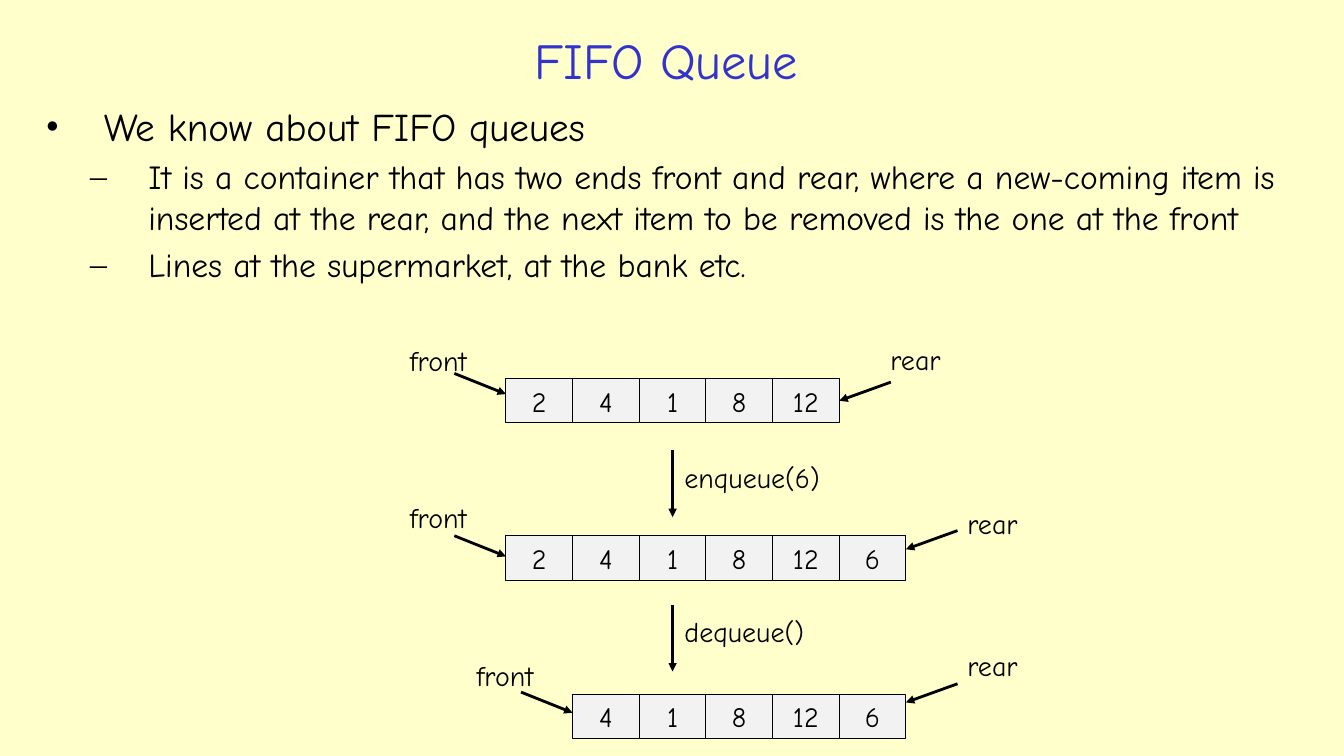
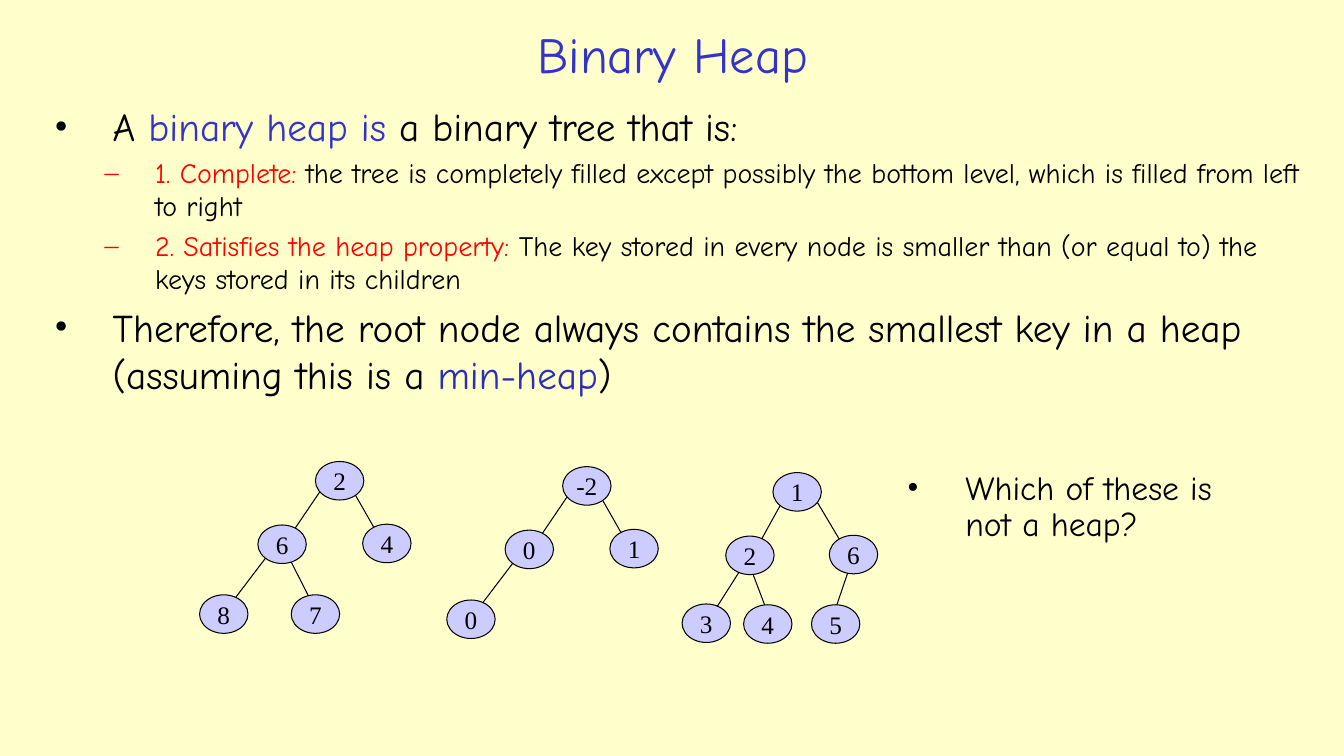
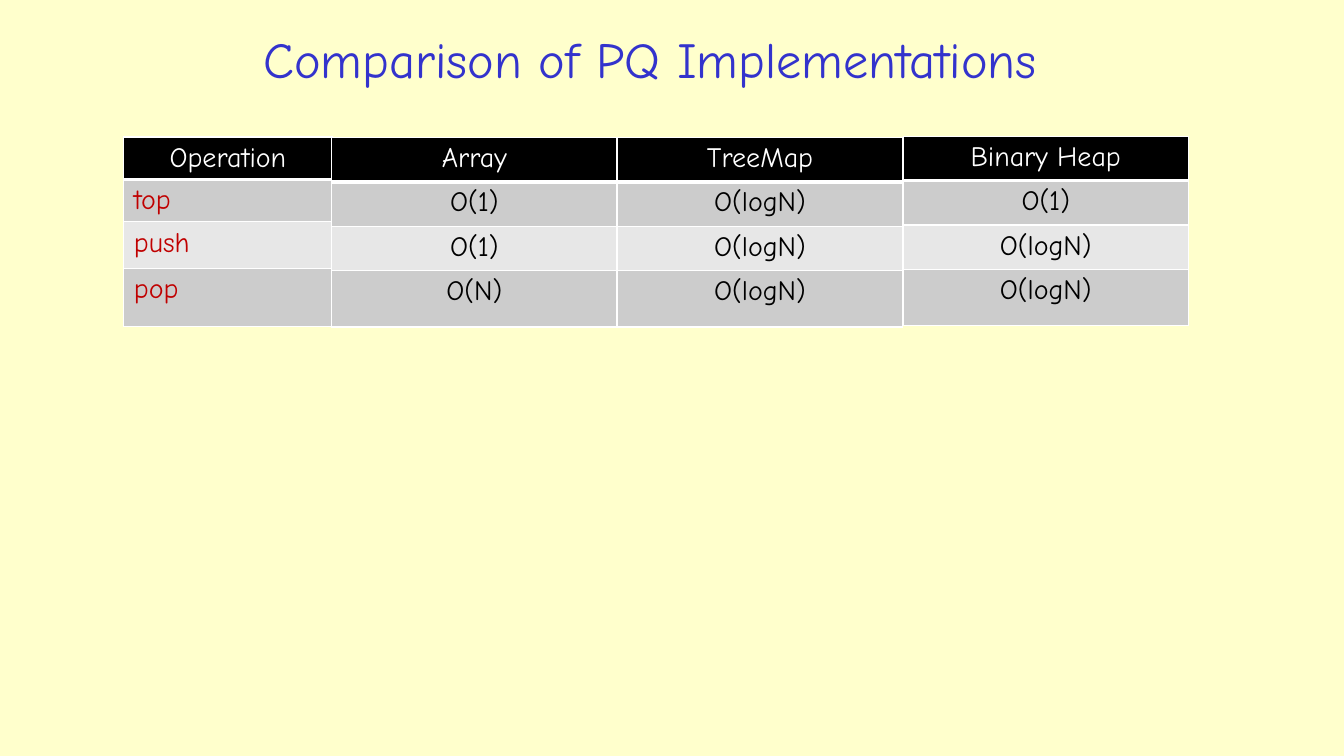
from math import sqrt

from lxml.etree import SubElement
from pptx import Presentation
from pptx.dml.color import RGBColor
from pptx.enum.shapes import MSO_CONNECTOR as Connector, MSO_SHAPE as Shape
from pptx.enum.text import MSO_ANCHOR as Anchor, PP_ALIGN as Align
from pptx.oxml import parse_xml
from pptx.oxml.ns import nsdecls, qn
from pptx.util import Cm, Pt

COLORS = {
    "paper": "FFFFCC", "ink": "000000", "title": "3333CC", "accent": "2D2DB9",
    "red": "FF0000", "dark_red": "C00000", "cell": "F2F2F2", "node": "CCCCFF",
    "white": "FFFFFF", "band_dark": "CCCCCC", "band_light": "E7E7E7",
}
FONT, NODE_FONT = "Comic Neue", "Times New Roman"

# All lengths are centimetres.
CELL_W, CELL_H = 1.68, 1.12
QUEUE_LEFT = 12.75
NODE_W, NODE_H = 1.22, 0.97

# Each node: offset from the root, parent index, and the horizontal distances
# from the centres of parent and child where the edge leaves and arrives.
LEFT_TREE = [
    (0, 0, None, 0, 0),
    (-1.45, 1.6, 0, -0.5, 0.33),
    (1.19, 1.58, 0, 0.4, -0.33),
    (-2.92, 3.36, 1, -0.42, 0.3),
    (-0.61, 3.36, 1, 0.23, -0.18),
]
FULL_TREE = [
    (0, 0, None, 0, 0),
    (-1.19, 1.6, 0, -0.43, 0.3),
    (1.42, 1.58, 0, 0.51, -0.36),
    (-2.29, 3.31, 1, -0.28, 0.28),
    (-0.74, 3.33, 1, 0.08, -0.08),
    (0.97, 3.33, 2, -0.15, 0.03),
]


def color(name):
    return RGBColor.from_string(COLORS[name])


def outline_height(dx):
    """Vertical distance from a node's centre to its outline at offset dx."""
    return NODE_H / 2 * sqrt(1 - (2 * dx / NODE_W) ** 2)


class Deck:
    def __init__(self):
        self.file = Presentation()
        self.file.slide_width, self.file.slide_height = Cm(33.87), Cm(19.05)
        fill = self.file.slide_master.background.fill
        fill.solid()
        fill.fore_color.rgb = color("paper")
        self.page = None

    def add_page(self, title, *place):
        self.page = self.file.slides.add_slide(self.file.slide_layouts[5])
        box = self.page.shapes.title
        box.left, box.top, box.width, box.height = map(Cm, place)
        box.text_frame.vertical_anchor = Anchor.MIDDLE
        para = box.text_frame.paragraphs[0]
        para.alignment = Align.CENTER
        self.add_span(para, title, 36, "title")

    def add_span(self, para, text, size, ink="ink", font=FONT):
        span = para.add_run()
        span.text = text
        span.font.size, span.font.name = Pt(size), font
        span.font.bold = False
        span.font.color.rgb = color(ink)

    def add_box(self, *place):
        box = self.page.shapes.add_textbox(*map(Cm, place))
        box.text_frame.word_wrap = True
        return box

    def label(self, text, left, top, width=2.34):
        box = self.add_box(left, top, width, CELL_H)
        self.add_span(box.text_frame.paragraphs[0], text, 20)

    def bullets(self, place, items, spacing=None):
        """Each item: bullet sign, left margin, hang, size, (text, colour) spans."""
        frame = self.add_box(*place).text_frame
        for index, (sign, margin, hang, size, spans) in enumerate(items):
            para = frame.add_paragraph() if index else frame.paragraphs[0]
            para.space_before = Pt(0.2 * size)
            if spacing:
                para.line_spacing = spacing
            props = para._p.get_or_add_pPr()
            props.set("marL", str(Cm(margin)))
            props.set("indent", str(-Cm(hang)))
            SubElement(props, qn("a:buFont")).set("typeface", NODE_FONT)
            SubElement(props, qn("a:buChar")).set("char", sign)
            for text, ink in spans:
                self.add_span(para, text, size, ink)

    def figure(self, kind, text, place, fill, size, font=FONT):
        shape = self.page.shapes.add_shape(kind, *map(Cm, place))
        shape.shadow.inherit = False
        shape.fill.solid()
        shape.fill.fore_color.rgb = color(fill)
        shape.line.color.rgb = color("ink")
        shape.line.width = Pt(0.75)
        frame = shape.text_frame
        frame.word_wrap = False
        frame.vertical_anchor = Anchor.MIDDLE
        frame.margin_left = frame.margin_right = 0
        frame.margin_top = frame.margin_bottom = 0
        para = frame.paragraphs[0]
        para.alignment = Align.CENTER
        self.add_span(para, text, size, font=font)
        return shape

    def line(self, start, end, width=0.75, arrow=False):
        line = self.page.shapes.add_connector(
            Connector.STRAIGHT, *map(Cm, (*start, *end)))
        line.line.color.rgb = color("ink")
        line.line.width = Pt(width)
        if arrow:
            SubElement(line.line._get_or_add_ln(), qn("a:tailEnd")).set("type", "triangle")
        SubElement(line._element.spPr, qn("a:effectLst"))
        return line

    def arrow(self, start, end):
        return self.line(start, end, 2, True)

    def queue(self, top, first, values, front_tip, rear_tip, rear_label):
        """Row of cells with front and rear pointers; tips are measured from top."""
        left = QUEUE_LEFT + first * CELL_W
        right = left + len(values) * CELL_W
        cells = [
            self.figure(Shape.RECTANGLE, value,
                        (left + index * CELL_W, top, CELL_W, CELL_H), "cell", 20)
            for index, value in enumerate(values)
        ]
        self.label("front", left - 2.67, top - 1.02)
        self.arrow((left - 1.3, top + front_tip - 0.52), (left, top + front_tip))
        dx, dy = rear_label
        self.label("rear", right + dx, top + dy)
        pointer = self.arrow((right + 1.3, top + rear_tip - 0.47), (right, top + rear_tip))
        if rear_tip == CELL_H / 2:
            pointer.end_connect(cells[-1], 3)

    def step(self, text, top):
        middle = QUEUE_LEFT + 2.5 * CELL_W
        self.arrow((middle, top), (middle, top + 1.68))
        self.label(text, middle + 0.05, top + 0.13, 4.14)

    def tree(self, left, top, layout, values):
        centres = []
        for value, (dx, dy, parent, leave, arrive) in zip(values, layout):
            x, y = left + dx, top + dy
            self.figure(Shape.OVAL, value, (x, y, NODE_W, NODE_H), "node", 18, NODE_FONT)
            centres.append((x + NODE_W / 2, y + NODE_H / 2))
            if parent is not None:
                (px, py), (cx, cy) = centres[parent], centres[-1]
                self.line((px + leave, py + outline_height(leave)),
                          (cx + arrive, cy - outline_height(arrive)))

    def column(self, left, top, width, heights, texts, ink="ink", align=Align.CENTER):
        """One-column table with a black header and banded rows."""
        table = self.page.shapes.add_table(
            len(texts), 1, Cm(left), Cm(top), Cm(width), Cm(sum(heights))).table
        table.first_row = table.horz_banding = False
        table.columns[0].width = Cm(width)
        for index, (text, height) in enumerate(zip(texts, heights)):
            table.rows[index].height = Cm(height)
            cell = table.cell(index, 0)
            header = index == 0
            band = "band_dark" if index % 2 else "band_light"
            cell.fill.solid()
            cell.fill.fore_color.rgb = color("ink" if header else band)
            para = cell.text_frame.paragraphs[0]
            para.alignment = Align.CENTER if header else align
            self.add_span(para, text, 20, "white" if header else ink)
            for order, side in enumerate("LRTB"):
                width_pt = 3 if header and side == "B" else 1
                cell._tc.get_or_add_tcPr().insert(order, parse_xml(
                    f'<a:ln{side} {nsdecls("a")} w="{Pt(width_pt)}"><a:solidFill>'
                    f'<a:srgbClr val="{COLORS["white"]}"/></a:solidFill></a:ln{side}>'))


def queue_page(deck):
    deck.add_page("FIFO Queue", 4.34, 0.53, 24.9, 1.93)
    deck.bullets((0.9, 2.46, 32.05, 6.05), [
        ("•", 1.47, 1.47, 28, [("We know about FIFO queues", "ink")]),
        ("–", 2.59, 1.47, 24, [
            ("It is a container that has two ends front and rear, where a new-coming "
             "item is inserted at the rear, and the next item to be removed is the "
             "one at the front", "ink")]),
        ("–", 2.59, 1.47, 24, [("Lines at the supermarket, at the bank etc.", "ink")]),
    ])
    values = ["2", "4", "1", "8", "12", "6"]
    deck.queue(9.54, 0, values[:-1], 0.39, CELL_H / 2, (1.04, -1.03))
    deck.step("enqueue(6)", 11.35)
    deck.queue(13.5, 0, values, 0.52, 0.34, (1.3, -0.85))
    deck.step("dequeue()", 15.24)
    deck.queue(17.5, 1, values[1:], 0.46, 0.2, (1.3, -1.29))


def heap_page(deck):
    deck.add_page("Binary Heap", 4.45, 0.38, 25, 1.93)
    deck.bullets((1.12, 2.46, 31.93, 8.05), [
        ("•", 1.47, 1.47, 28, [
            ("A ", "ink"), ("binary heap is", "title"),
            (" a binary tree that is:", "ink")]),
        ("–", 2.54, 1.27, 20, [
            ("1. Complete: ", "red"),
            ("the tree is completely filled except possibly the bottom level, "
             "which is filled from left to right", "ink")]),
        ("–", 2.54, 1.27, 20, [
            ("2. Satisfies the heap property: ", "red"),
            ("The key stored in every node is smaller than (or equal to) the keys "
             "stored in its children", "ink")]),
        ("•", 1.47, 1.47, 28, [
            ("Therefore, the root node always contains the smallest key in a heap "
             "(assuming this is a ", "ink"),
            ("min-heap", "accent"), (")", "ink")]),
    ])
    deck.tree(7.95, 11.63, LEFT_TREE, ["2", "6", "4", "8", "7"])
    deck.tree(14.18, 11.76, LEFT_TREE, ["-2", "0", "1", "0"])
    deck.tree(19.48, 11.91, FULL_TREE, ["1", "2", "6", "3", "4", "5"])
    deck.bullets((22.61, 11.76, 9.25, 2.41), [
        ("•", 1.47, 1.47, 24, [("Which of these is not a heap?", "ink")]),
    ], spacing=0.9)


def comparison_page(deck):
    deck.add_page("Comparison of PQ Implementations", 1.57, 0.69, 29.62, 1.57)
    deck.column(3.12, 3.45, 5.25, [1.07, 1.07, 1.18, 1.45],
                ["Operation", "top", "push", "pop"], "dark_red", Align.LEFT)
    columns = [
        (3.46, ["Array", "O(1)", "O(1)", "O(N)"]),
        (3.46, ["TreeMap", "O(logN)", "O(logN)", "O(logN)"]),
        (3.43, ["Binary Heap", "O(1)", "O(logN)", "O(logN)"]),
    ]
    for index, (top, texts) in enumerate(columns):
        deck.column(8.36 + index * 7.2, top, 7.19, [1.12, 1.12, 1.12, 1.42], texts)


def main():
    deck = Deck()
    queue_page(deck)
    heap_page(deck)
    comparison_page(deck)
    deck.file.save("out.pptx")


if __name__ == "__main__":
    main()
